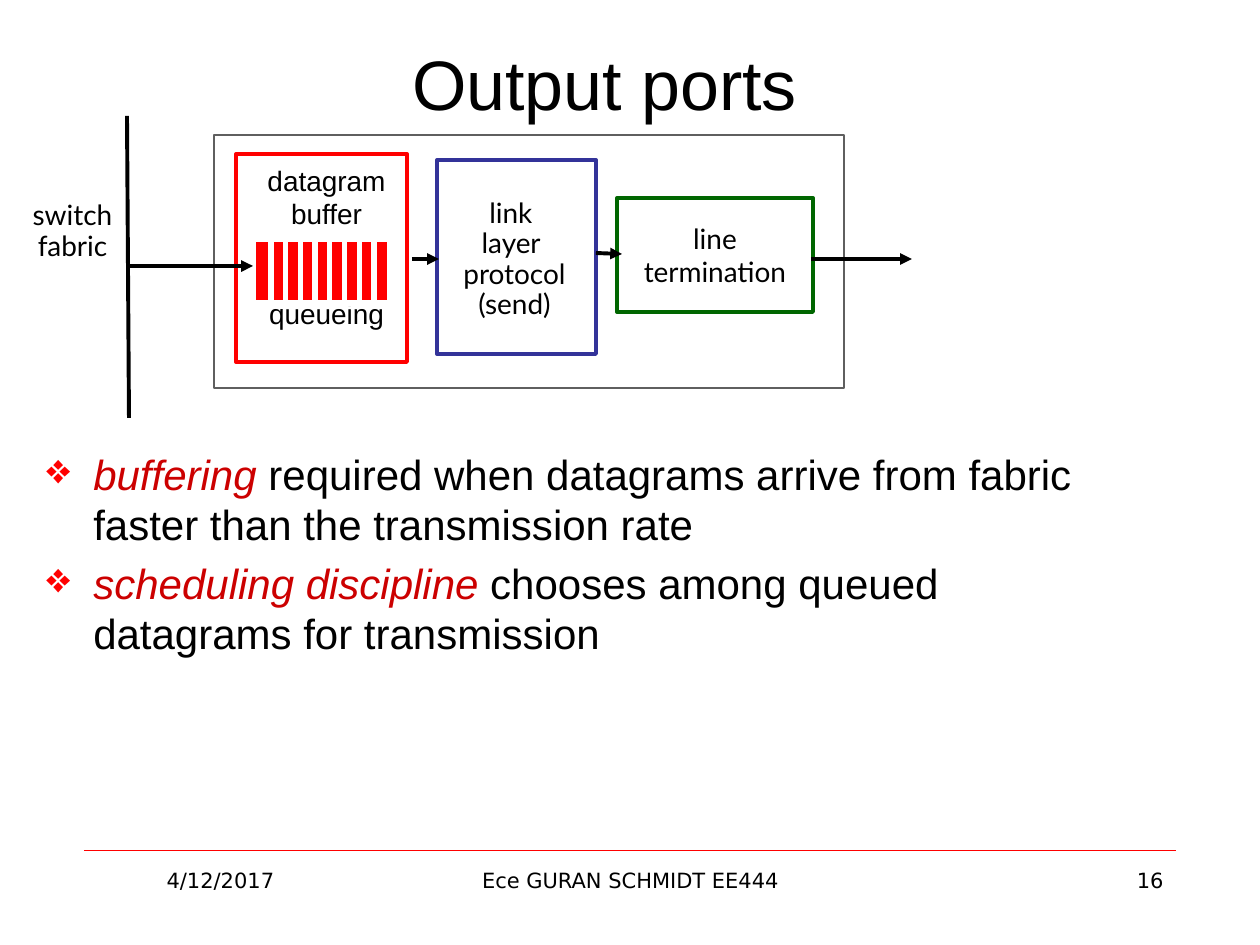
from dataclasses import dataclass

from lxml import etree
from pptx import Presentation, util as u
from pptx.dml.color import RGBColor
from pptx.enum import shapes, text
from pptx.oxml import ns

PX = u.Inches(1) / 126
LEFT, CENTER, RIGHT = text.PP_ALIGN.LEFT, text.PP_ALIGN.CENTER, text.PP_ALIGN.RIGHT
TOP, MIDDLE = text.MSO_ANCHOR.TOP, text.MSO_ANCHOR.MIDDLE


@dataclass(frozen=True)
class Theme:
    """Colours, fonts and type sizes of the slide."""
    ink: str = "000000"
    paper: str = "FFFFFF"
    port: str = "5F5F5F"
    queue: str = "FF0000"
    link: str = "333399"
    line: str = "006600"
    emphasis: str = "CC0000"
    sans: str = "Arial"
    label_font: str = "Lato"
    footer_font: str = "DejaVu Sans"
    title_size: int = 40
    body_size: int = 24
    label_size: int = 16
    footer_size: int = 12
    stroke: float = 2.25


THEME = Theme()


def px(*lengths):
    """Turn pixel lengths into EMU."""
    return [round(length * PX) for length in lengths]


def apply(target, values):
    """Set each format value on the target."""
    for name, value in values.items():
        setattr(target, name, value)


def add_run(paragraph, words, font, size, color=THEME.ink, italic=False):
    """Append one formatted run."""
    run = paragraph.add_run()
    run.text = words
    apply(run.font, {"name": font, "size": u.Pt(size), "italic": italic})
    run.font.color.rgb = RGBColor.from_string(color)


def write(frame, lines, font, size, align=CENTER, anchor=TOP, wrap=True, spacing=None):
    """Fill a text frame with one paragraph per line and return them."""
    apply(frame, {"word_wrap": wrap, "vertical_anchor": anchor})
    paragraphs = []
    for index, line in enumerate(lines):
        paragraph = frame.add_paragraph() if index else frame.paragraphs[0]
        apply(paragraph, {"alignment": align, "line_spacing": spacing})
        add_run(paragraph, line, font, size)
        paragraphs.append(paragraph)
    return paragraphs


def add_text(parent, bounds, lines, font, size, **layout):
    """Add a text box and return its paragraphs."""
    box = parent.add_textbox(*px(*bounds))
    return write(box.text_frame, lines, font, size, **layout)


def add_box(parent, bounds, outline=None, width=THEME.stroke, fill=THEME.paper):
    """Add a filled rectangle with an optional outline."""
    box = parent.add_shape(shapes.MSO_SHAPE.RECTANGLE, *px(*bounds))
    box.shadow.inherit = False
    box.fill.solid()
    box.fill.fore_color.rgb = RGBColor.from_string(fill)
    if outline:
        box.line.color.rgb = RGBColor.from_string(outline)
        box.line.width = u.Pt(width)
    else:
        box.line.fill.background()
    return box


def add_label(parent, bounds, lines, outline=None, spacing=None):
    """Add a rectangle that carries a centred diagram label."""
    box = add_box(parent, bounds, outline)
    write(box.text_frame, lines, THEME.label_font, THEME.label_size,
          anchor=MIDDLE, wrap=False, spacing=spacing)


def add_line(parent, ends, color=THEME.ink, width=THEME.stroke, arrow=False):
    """Add a straight line, with an arrowhead at its end if asked."""
    line = parent.add_connector(shapes.MSO_CONNECTOR.STRAIGHT, *px(*ends))
    line.line.color.rgb = RGBColor.from_string(color)
    line.line.width = u.Pt(width)
    if arrow:
        etree.SubElement(line.line._get_or_add_ln(), ns.qn("a:tailEnd"), type="triangle")
    etree.SubElement(line._element.spPr, ns.qn("a:effectLst"))


def add_bullets(parent, bounds, points):
    """Add bulleted points that open with an emphasised term."""
    paragraphs = add_text(parent, bounds, [""] * len(points), THEME.sans,
                          THEME.body_size, align=LEFT)
    for paragraph, (term, rest) in zip(paragraphs, points):
        first = paragraph.runs[0]
        first.text = term
        first.font.italic = True
        first.font.color.rgb = RGBColor.from_string(THEME.emphasis)
        add_run(paragraph, rest, THEME.sans, THEME.body_size)
        paragraph.space_before = u.Pt(4.8)
        properties = paragraph._p.get_or_add_pPr()
        indent = px(47)[0]
        properties.set("marL", str(indent))
        properties.set("indent", str(-indent))
        color = etree.SubElement(properties, ns.qn("a:buClr"))
        etree.SubElement(color, ns.qn("a:srgbClr"), val=THEME.queue)
        etree.SubElement(properties, ns.qn("a:buChar"), char="❖")


def add_queue(parent):
    """Add the datagram buffer with its evenly spaced slots."""
    queue = parent.add_group_shape().shapes
    add_box(queue, (236, 154, 171, 208), THEME.queue)
    caption = add_text(queue, (247, 157, 159, 202), ["datagram", "buffer", "queueing"],
                       THEME.sans, THEME.label_size, wrap=False)
    caption[-1].space_before = u.Pt(38)
    add_box(queue, (253, 239, 137, 64), THEME.paper, 3, THEME.queue)
    for slot in range(8):
        x = 271 + 103 * slot / 7
        add_line(queue, (x, 241, x, 302), THEME.paper, 3)


def add_diagram(parent):
    """Add the path from the switch fabric to the outgoing line."""
    add_box(parent, (214, 135, 630, 253), THEME.port, 1.5)
    add_label(parent, (617, 198, 196, 114), ["line", "termination"], THEME.line)
    add_box(parent, (437, 160, 159, 194), THEME.link)
    for ends in ((412, 259, 439, 259), (596, 253, 622, 254), (811, 259, 912, 259)):
        add_line(parent, ends, arrow=True)
    add_label(parent, (442, 203, 145, 114), ["link ", "layer ", "protocol", "(send)"],
              spacing=0.9)
    add_label(parent, (0, 175, 145, 114), ["switch", "fabric"], spacing=0.9)
    add_queue(parent)
    add_line(parent, (127, 116, 129, 418))
    add_line(parent, (126, 266, 253, 266), arrow=True)


def add_footer(parent):
    """Add the rule, date, author and page number."""
    add_line(parent, (84, 850, 1176, 850), THEME.queue, 0.25)
    for left, width, words, align in ((84, 273, "4/12/2017", CENTER),
                                      (431, 399, "Ece GURAN SCHMIDT EE444", CENTER),
                                      (903, 273, "16", RIGHT)):
        add_text(parent, (left, 861, width, 65), [words], THEME.footer_font,
                 THEME.footer_size, align=align)


def main():
    """Build and save the slide."""
    deck = Presentation()
    apply(deck, {"slide_width": u.Inches(10), "slide_height": u.Inches(7.5)})
    parent = deck.slides.add_slide(deck.slide_layouts[6]).shapes
    add_footer(parent)
    add_text(parent, (69, 35, 1071, 95), ["Output ports"], THEME.sans,
             THEME.title_size, anchor=MIDDLE)
    add_bullets(parent, (34, 442, 1072, 276), (
        ("buffering", " required when datagrams arrive from fabric "
                      "faster than the transmission rate"),
        ("scheduling discipline", " chooses among queued datagrams for transmission"),
    ))
    add_diagram(parent)
    deck.save("out.pptx")


if __name__ == "__main__":
    main()
